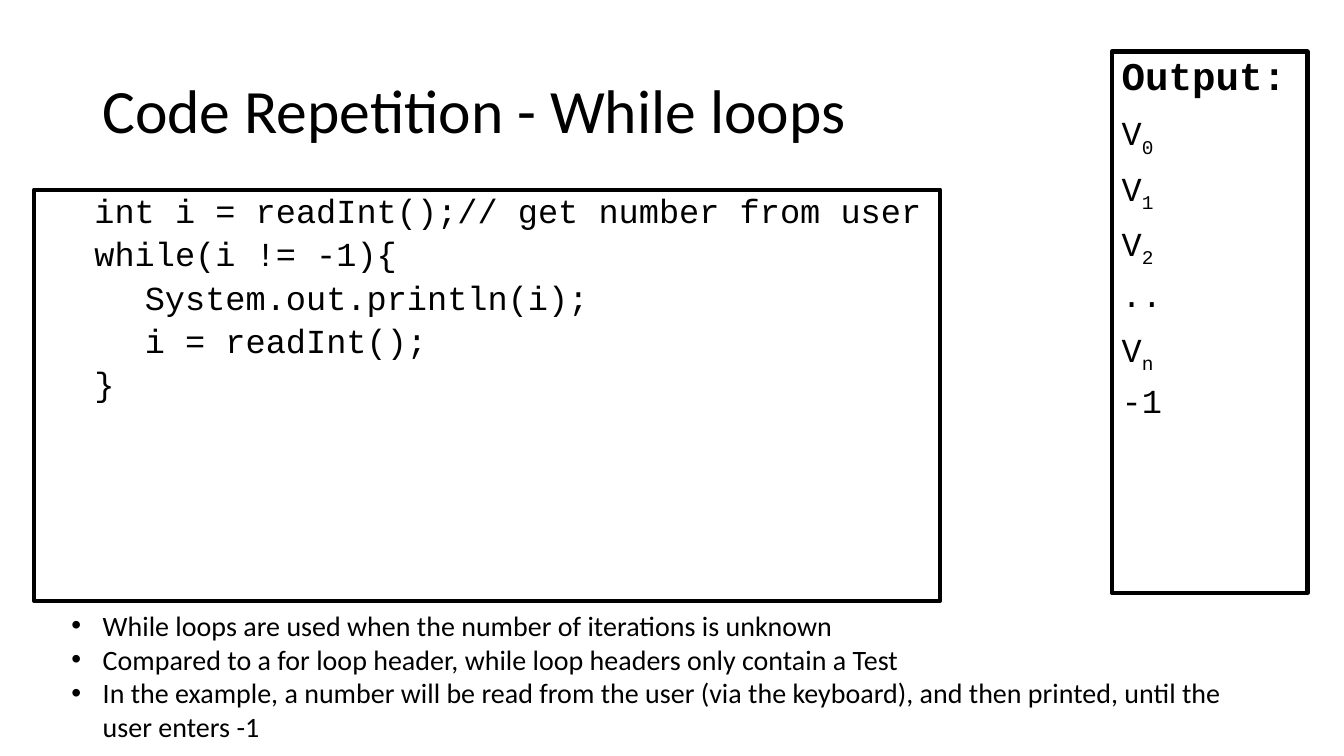
from dataclasses import dataclass

from lxml import etree
from pptx import Presentation
from pptx.dml.color import RGBColor
from pptx.enum.shapes import MSO_SHAPE
from pptx.enum.text import MSO_ANCHOR, PP_ALIGN
from pptx.oxml.ns import qn
from pptx.util import Cm, Pt

RECT = MSO_SHAPE.RECTANGLE
TOP, MIDDLE = MSO_ANCHOR.TOP, MSO_ANCHOR.MIDDLE
LEFT = PP_ALIGN.LEFT


@dataclass(frozen=True)
class Theme:
    ink: RGBColor = RGBColor(0, 0, 0)
    sans: str = "Calibri"
    mono: str = "Courier New"
    title: Pt = Pt(44)
    head: Pt = Pt(28)
    code: Pt = Pt(24)
    note: Pt = Pt(20)
    edge: Pt = Pt(3)


THEME = Theme()
CODE = [
    (0, "int i = readInt();// get number from user"),
    (0, "while(i != -1){"),
    (1, "System.out.println(i);"),
    (1, "i = readInt();"),
    (0, "}"),
]
OUTPUT = [("V", "0"), ("V", "1"), ("V", "2"), ("..", ""), ("V", "n"), ("-1", "")]
NOTES = [
    "While loops are used when the number of iterations is unknown",
    "Compared to a for loop header, while loop headers only contain a Test",
    "In the example, a number will be read from the user (via the keyboard), "
    "and then printed, until the user enters -1",
]


def assign(item, values):
    for name, value in values.items():
        setattr(item, name, value)


def add_run(para, text, face, size, bold=False):
    run = para.add_run()
    run.text = text
    assign(run.font, {"name": face, "size": size, "bold": bold})
    run.font.color.rgb = THEME.ink
    return run


def add_para(frame, first, gap=0, pitch=0.9):
    para = frame.paragraphs[0] if first else frame.add_paragraph()
    assign(para, {
        "alignment": LEFT,
        "line_spacing": pitch,
        "space_before": Pt(0 if first else gap),
    })
    return para


def set_indent(para, left, hang):
    props = para._p.get_or_add_pPr()
    for name, size in {"marL": left, "indent": hang}.items():
        props.set(name, str(int(size)))
    return props


def add_text(slide, box, anchor=TOP):
    frame = slide.shapes.add_textbox(*box).text_frame
    assign(frame, {"word_wrap": True, "vertical_anchor": anchor})
    return frame


def add_panel(slide, box):
    panel = slide.shapes.add_shape(RECT, *box)
    panel.shadow.inherit = False
    panel.fill.background()
    panel.line.color.rgb = THEME.ink
    panel.line.width = THEME.edge
    frame = panel.text_frame
    assign(frame, {"word_wrap": True, "vertical_anchor": TOP})
    return frame


def draw_title(slide, box):
    para = add_para(add_text(slide, box, MIDDLE), True)
    add_run(para, "Code Repetition - While loops", THEME.sans, THEME.title)


def draw_output(slide, box):
    frame = add_panel(slide, box)
    add_run(add_para(frame, True), "Output:", THEME.mono, THEME.head, True)
    for base, sub in OUTPUT:
        para = add_para(frame, False, 10)
        add_run(para, base, THEME.mono, THEME.code)
        if sub:
            run = add_run(para, sub, THEME.mono, THEME.code)
            run._r.get_or_add_rPr().set("baseline", "-25000")


def draw_notes(slide, box):
    frame = add_text(slide, box)
    for row, text in enumerate(NOTES):
        para = add_para(frame, row == 0, pitch=1.0)
        props = set_indent(para, Cm(0.79), Cm(-0.79))
        etree.SubElement(props, qn("a:buFont")).set("typeface", "Arial")
        etree.SubElement(props, qn("a:buChar")).set("char", "•")
        add_run(para, text, THEME.sans, THEME.note)


def draw_code(slide, box):
    frame = add_panel(slide, box)
    for row, (depth, text) in enumerate(CODE):
        para = add_para(frame, row == 0, 5)
        set_indent(para, Cm(1.27), Cm(1.27 * depth))
        add_run(para, text, THEME.mono, THEME.code)


def main():
    deck = Presentation()
    assign(deck, {"slide_width": Cm(33.87), "slide_height": Cm(19.05)})
    slide = deck.slides.add_slide(deck.slide_layouts[6])
    parts = [
        (draw_title, (2.33, 1.01, 29.21, 3.68)),
        (draw_output, (28.02, 1.3, 4.93, 13.64)),
        (draw_notes, (1.55, 15.21, 30.63, 4.52)),
        (draw_code, (0.86, 4.78, 22.83, 10.36)),
    ]
    for draw, box in parts:
        draw(slide, [Cm(size) for size in box])
    deck.save("out.pptx")


if __name__ == "__main__":
    main()
